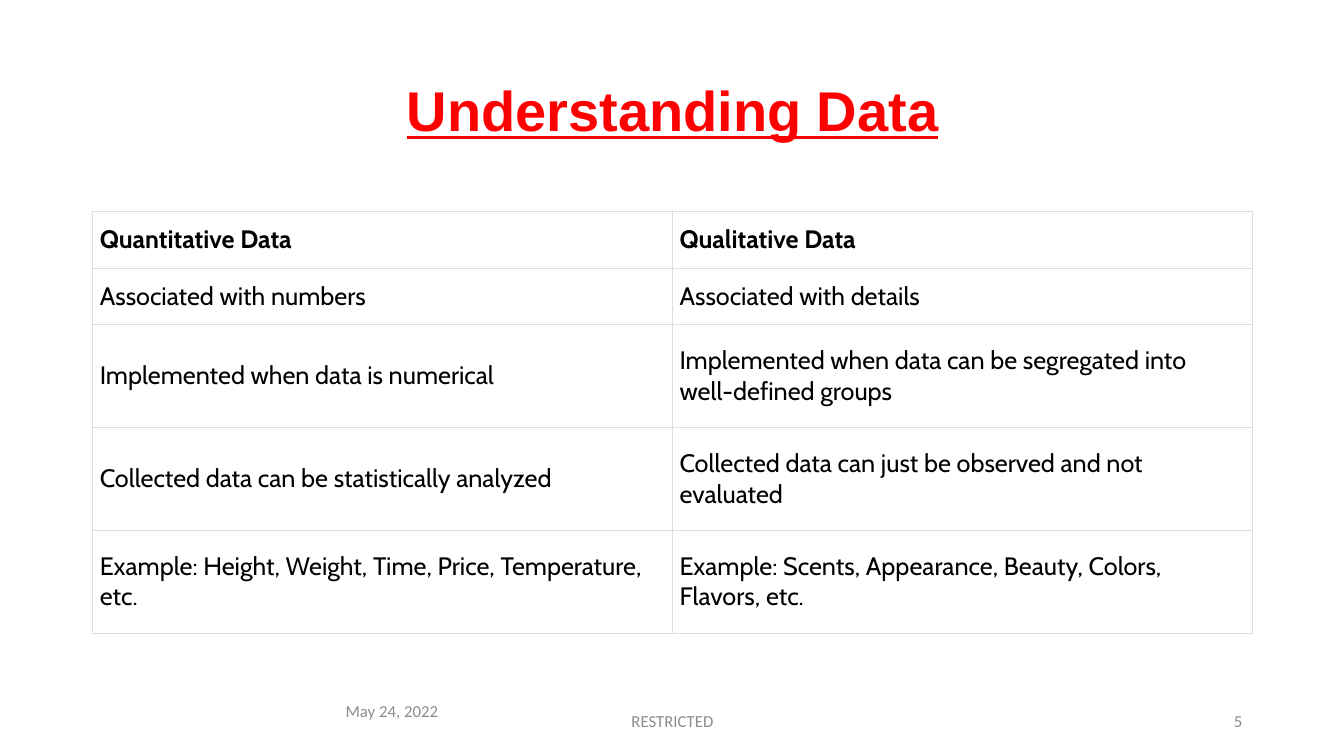
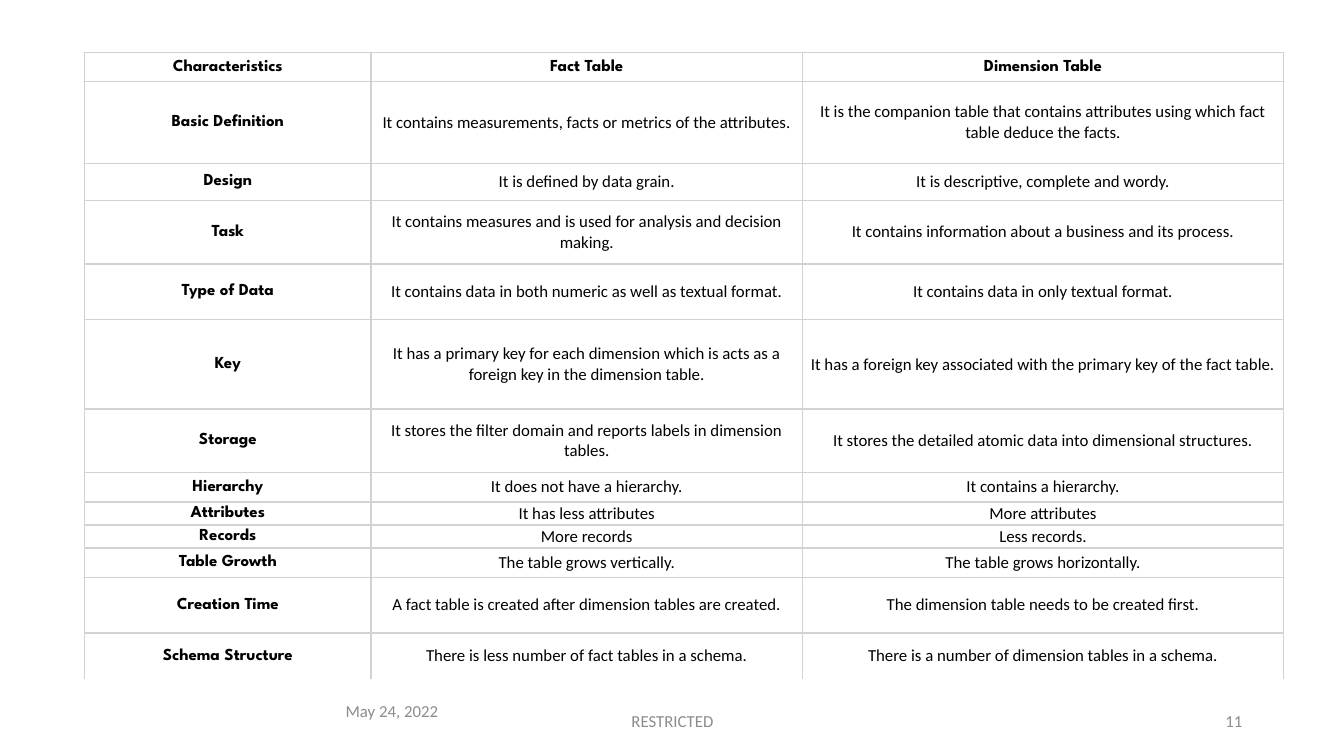
from dataclasses import dataclass

from lxml.etree import SubElement
from pptx import Presentation
from pptx.dml.color import RGBColor
from pptx.enum.text import MSO_ANCHOR, PP_ALIGN
from pptx.oxml.ns import qn
from pptx.util import Inches, Pt


@dataclass(frozen=True)
class Theme:
    title_color: str = "FF0000"
    text_color: str = "000000"
    footer_color: str = "8C8C8C"
    paper: str = "FFFFFF"
    title_font: str = "Arial"
    footer_font: str = "Calibri"
    title_size: int = 40
    footer_size: int = 12


@dataclass(frozen=True)
class TableStyle:
    head_font: str
    body_font: str
    size: int
    align: PP_ALIGN
    margins: tuple  # horizontal, vertical
    border: str
    border_width: float
    fill: str = ""
    head_column: bool = False
    closed: bool = True


THEME = Theme()
DATA_STYLE = TableStyle("Cabin", "Cabin", 18, PP_ALIGN.LEFT, (0.07, 0.03),
                        "DDDDDD", 0.6, fill=THEME.paper)
COMPARISON_STYLE = TableStyle("League Spartan", "Calibri", 12, PP_ALIGN.CENTER,
                              (0.02, 0.01), "D2D2D2", 1.2,
                              head_column=True, closed=False)

TITLE_BOX = (0.92, 0.4, 11.5, 1.45)
FOOTER_BOX = (3.33, 6.93, 9.09, 0.42)

DATA_COLUMNS = (5.75, 5.75)
DATA_ROWS = [
    (0.56, "Quantitative Data", "Qualitative Data"),
    (0.56, "Associated with numbers", "Associated with details"),
    (1.02, "Implemented when data is numerical",
     "Implemented when data can be segregated into well-defined groups"),
    (1.02, "Collected data can be statistically analyzed",
     "Collected data can just be observed and not evaluated"),
    (1.02, "Example: Height, Weight, Time, Price, Temperature, etc.",
     "Example: Scents, Appearance, Beauty, Colors, Flavors, etc."),
]

COMPARISON_COLUMNS = (2.84, 4.28, 4.77)
COMPARISON_ROWS = [
    (0.29, "Characteristics", "Fact Table", "Dimension Table"),
    (0.81, "Basic Definition",
     "It contains measurements, facts or metrics of the attributes.",
     "It is the companion table that contains attributes using which fact "
     "table deduce the facts."),
    (0.37, "Design", "It is defined by data grain.",
     "It is descriptive, complete and wordy."),
    (0.63, "Task",
     "It contains measures and is used for analysis and decision making.",
     "It contains information about a business and its process."),
    (0.55, "Type of Data",
     "It contains data in both numeric as well as textual format.",
     "It contains data in only textual format."),
    (0.89, "Key",
     "It has a primary key for each dimension which is acts as a foreign key "
     "in the dimension table.",
     "It has a foreign key associated with the primary key of the fact table."),
    (0.63, "Storage",
     "It stores the filter domain and reports labels in dimension tables.",
     "It stores the detailed atomic data into dimensional structures."),
    (0.29, "Hierarchy", "It does not have a hierarchy.",
     "It contains a hierarchy."),
    (0.23, "Attributes", "It has less attributes", "More attributes"),
    (0.23, "Records", "More records", "Less records."),
    (0.29, "Table Growth", "The table grows vertically.",
     "The table grows horizontally."),
    (0.55, "Creation Time",
     "A fact table is created after dimension tables are created.",
     "The dimension table needs to be created first."),
    (0.46, "Schema Structure",
     "There is less number of fact tables in a schema.",
     "There is a number of dimension tables in a schema."),
]


def add_text(frame, text, font, size, color, align, bold=False):
    paragraph = frame.paragraphs[0]
    paragraph.alignment = align
    run = paragraph.add_run()
    run.text = text
    run.font.name = font
    run.font.size = Pt(size)
    run.font.bold = bold
    run.font.color.rgb = RGBColor.from_string(color)
    return paragraph, run


def add_title(slide, text, box):
    title = slide.shapes.title
    title.left, title.top, title.width, title.height = map(Inches, box)
    title.text_frame.vertical_anchor = MSO_ANCHOR.MIDDLE
    paragraph, run = add_text(title.text_frame, text, THEME.title_font,
                              THEME.title_size, THEME.title_color,
                              PP_ALIGN.CENTER, bold=True)
    paragraph.line_spacing = 0.9
    run.font.underline = True


def add_footer(slide, page, box):
    left, top, width, height = box
    line_top, line_height = top + 0.02, height - 0.02
    parts = [
        ("May 24, 2022", PP_ALIGN.LEFT, (left, top, 2.76, 0.24)),
        ("RESTRICTED", PP_ALIGN.CENTER,
         (left + 1.09, line_top, 4.5, line_height)),
        (str(page), PP_ALIGN.RIGHT,
         (left + width - 3, line_top, 3, line_height)),
    ]
    for text, align, place in parts:
        frame = slide.shapes.add_textbox(*map(Inches, place)).text_frame
        frame.word_wrap = True
        frame.vertical_anchor = MSO_ANCHOR.MIDDLE
        add_text(frame, text, THEME.footer_font, THEME.footer_size,
                 THEME.footer_color, align)


def set_borders(cell, color, width, open_bottom):
    """Draw the cell's four edges; call before filling, as the schema orders."""
    properties = cell._tc.get_or_add_tcPr()
    for edge in ("lnL", "lnR", "lnT", "lnB"):
        line = SubElement(properties, qn(f"a:{edge}"), w=str(int(Pt(width))))
        if edge == "lnB" and open_bottom:
            SubElement(line, qn("a:noFill"))
        else:
            fill = SubElement(line, qn("a:solidFill"))
            SubElement(fill, qn("a:srgbClr"), val=color)


def format_cell(cell, text, style, is_head, open_bottom):
    horizontal, vertical = map(Inches, style.margins)
    cell.margin_left = cell.margin_right = horizontal
    cell.margin_top = cell.margin_bottom = vertical
    cell.vertical_anchor = MSO_ANCHOR.MIDDLE
    set_borders(cell, style.border, style.border_width, open_bottom)
    if style.fill:
        cell.fill.solid()
        cell.fill.fore_color.rgb = RGBColor.from_string(style.fill)
    else:
        cell.fill.background()
    add_text(cell.text_frame, text,
             style.head_font if is_head else style.body_font,
             style.size, THEME.text_color, style.align, bold=is_head)


def add_grid(slide, rows, columns, origin, style):
    """Add a table whose rows each give a height followed by cell texts."""
    size = (sum(columns), sum(row[0] for row in rows))
    table = slide.shapes.add_table(len(rows), len(columns),
                                   *map(Inches, (*origin, *size))).table
    table.first_row = table.horz_banding = False
    for column, width in zip(table.columns, columns):
        column.width = Inches(width)
    for r, (height, *texts) in enumerate(rows):
        table.rows[r].height = Inches(height)
        open_bottom = not style.closed and r == len(rows) - 1
        for c, text in enumerate(texts):
            is_head = r == 0 or (style.head_column and c == 0)
            format_cell(table.cell(r, c), text, style, is_head, open_bottom)


def build_understanding_data(deck):
    slide = deck.slides.add_slide(deck.slide_layouts[5])
    add_title(slide, "Understanding Data", TITLE_BOX)
    add_grid(slide, DATA_ROWS, DATA_COLUMNS, (0.92, 2.1), DATA_STYLE)
    add_footer(slide, 5, FOOTER_BOX)


def build_fact_and_dimension(deck):
    slide = deck.slides.add_slide(deck.slide_layouts[6])
    add_grid(slide, COMPARISON_ROWS, COMPARISON_COLUMNS, (0.84, 0.52),
             COMPARISON_STYLE)
    add_footer(slide, 11, FOOTER_BOX)


def main():
    deck = Presentation()
    deck.slide_width, deck.slide_height = Inches(13.33), Inches(7.5)
    build_understanding_data(deck)
    build_fact_and_dimension(deck)
    deck.save("out.pptx")


if __name__ == "__main__":
    main()
